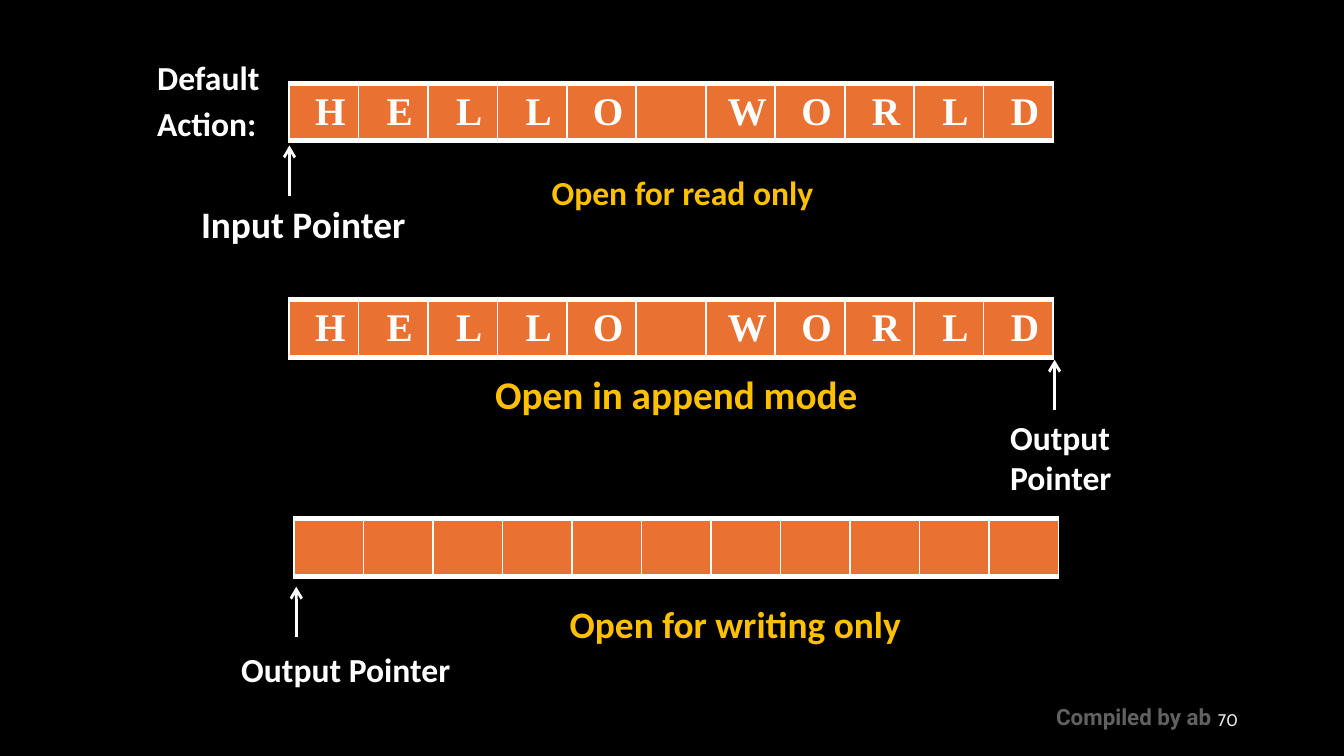
from pptx import Presentation
from pptx.dml.color import RGBColor
from pptx.enum.shapes import MSO_CONNECTOR
from pptx.enum.text import MSO_ANCHOR, PP_ALIGN
from pptx.oxml.ns import qn
from pptx.util import Cm, Pt
from lxml import etree

LEFT, MID, RIGHT = PP_ALIGN.LEFT, PP_ALIGN.CENTER, PP_ALIGN.RIGHT
TOP, CENTER = MSO_ANCHOR.TOP, MSO_ANCHOR.MIDDLE
STRAIGHT = MSO_CONNECTOR.STRAIGHT

THEME = {
    "back": "000000", "cell": "E97132", "white": "FFFFFF",
    "gold": "FFC000", "gray": "616161", "pale": "EAEAEA",
    "body": "Calibri", "tape": "Times New Roman",
    "mark": "Roboto", "page": "Cabin",
    "small": 18, "big": 20, "mode": 21, "foot": 12, "num": 9,
}

WORD = "HELLO WORLD"
TAPES = [
    (5.46, 1.57, WORD),
    (5.46, 5.66, WORD),
    (5.56, 9.8, " " * len(WORD)),
]
WIDTH, HEIGHT = 14.45, 1.09

ARROWS = [(5.47, 2.75), (19.93, 6.8), (5.6, 11.09)]
REACH = 0.95

INDENT = 1.85
POINTER = {"indent": INDENT, "before": 3.2}
MODE = {"color": "gold", "align": MID}
NOTES = [
    (["Default", "Action:"], (2.72, 1.09, 2.67, 1.8), "small",
     {"before": 7.5, "space": 0.8}),
    (["Input Pointer"], (1.7, 3.68, 6.68, 1.14), "big", POINTER),
    (["Open for read only"], (7.29, 3.12, 9.37, 1.02), "small",
     {**MODE, "indent": INDENT}),
    (["Output Pointer"], (16.99, 7.75, 5.08, 1.8), "small", POINTER),
    (["Open in append mode "], (9.09, 6.88, 7.39, 1.14), "mode", MODE),
    (["Output Pointer"], (2.46, 12.14, 6.93, 1.02), "small", POINTER),
    (["Open for writing only"], (9.86, 11.23, 8.08, 1.14), "big", MODE),
    (["Compiled by ab"], (19.71, 13.16, 3.61, 0.76), "foot",
     {"color": "gray", "font": "mark"}),
    (["70"], (17.93, 13.23, 5.72, 0.76), "num",
     {"color": "pale", "font": "page", "bold": False,
      "align": RIGHT, "anchor": CENTER}),
]


def tint(key):
    return RGBColor.from_string(THEME[key])


def style(para, size, color="white", font="body", bold=True,
          align=LEFT, indent=0, before=0, space=1.0):
    para.alignment = align
    para.space_before = Pt(before)
    para.line_spacing = space
    para.font.size = Pt(THEME[size])
    para.font.name = THEME[font]
    para.font.bold = bold
    para.font.color.rgb = tint(color)
    if indent:
        props = para._p.get_or_add_pPr()
        props.set("marL", str(Cm(indent)))
        props.set("indent", "0")


def add_note(slide, lines, place, size, look):
    look = dict(look)
    frame = slide.shapes.add_textbox(*map(Cm, place)).text_frame
    frame.word_wrap = True
    frame.vertical_anchor = look.pop("anchor", TOP)
    frame.text = "\n".join(lines)
    for para in frame.paragraphs:
        style(para, size, **look)


def add_edges(cell):
    props = cell._tc.get_or_add_tcPr()
    for spot, (side, width) in enumerate(
            [("L", 1), ("R", 1), ("T", 3), ("B", 3)]):
        edge = etree.Element(qn("a:ln" + side), w=str(Pt(width)))
        fill = etree.SubElement(edge, qn("a:solidFill"))
        etree.SubElement(fill, qn("a:srgbClr"), val=THEME["white"])
        props.insert(spot, edge)


def add_tape(slide, left, top, word):
    table = slide.shapes.add_table(
        1, len(word), Cm(left), Cm(top), Cm(WIDTH), Cm(HEIGHT)).table
    for col, char in enumerate(word):
        table.columns[col].width = Cm(WIDTH) // len(word)
        cell = table.cell(0, col)
        cell.fill.solid()
        cell.fill.fore_color.rgb = tint("cell")
        cell.vertical_anchor = CENTER
        cell.margin_left = cell.margin_right = 0
        cell.margin_top = cell.margin_bottom = 0
        cell.text = char.strip()
        style(cell.text_frame.paragraphs[0], "mode", font="tape",
              align=MID, indent=0.25, before=2.8)
        add_edges(cell)


def add_arrow(slide, left, top):
    arrow = slide.shapes.add_connector(
        STRAIGHT, Cm(left), Cm(top + REACH), Cm(left), Cm(top))
    arrow.line.color.rgb = tint("white")
    arrow.line.width = Pt(1.5)
    etree.SubElement(arrow.line._get_or_add_ln(), qn("a:tailEnd"),
                     type="arrow", w="med", len="med")
    etree.SubElement(arrow._element.spPr, qn("a:effectLst"))


def main():
    deck = Presentation()
    deck.slide_width, deck.slide_height = Cm(25.4), Cm(14.29)
    slide = deck.slides.add_slide(deck.slide_layouts[6])
    slide.background.fill.solid()
    slide.background.fill.fore_color.rgb = tint("back")
    for tape in TAPES:
        add_tape(slide, *tape)
    for spot in ARROWS:
        add_arrow(slide, *spot)
    for note in NOTES:
        add_note(slide, *note)
    deck.save("out.pptx")


if __name__ == "__main__":
    main()
